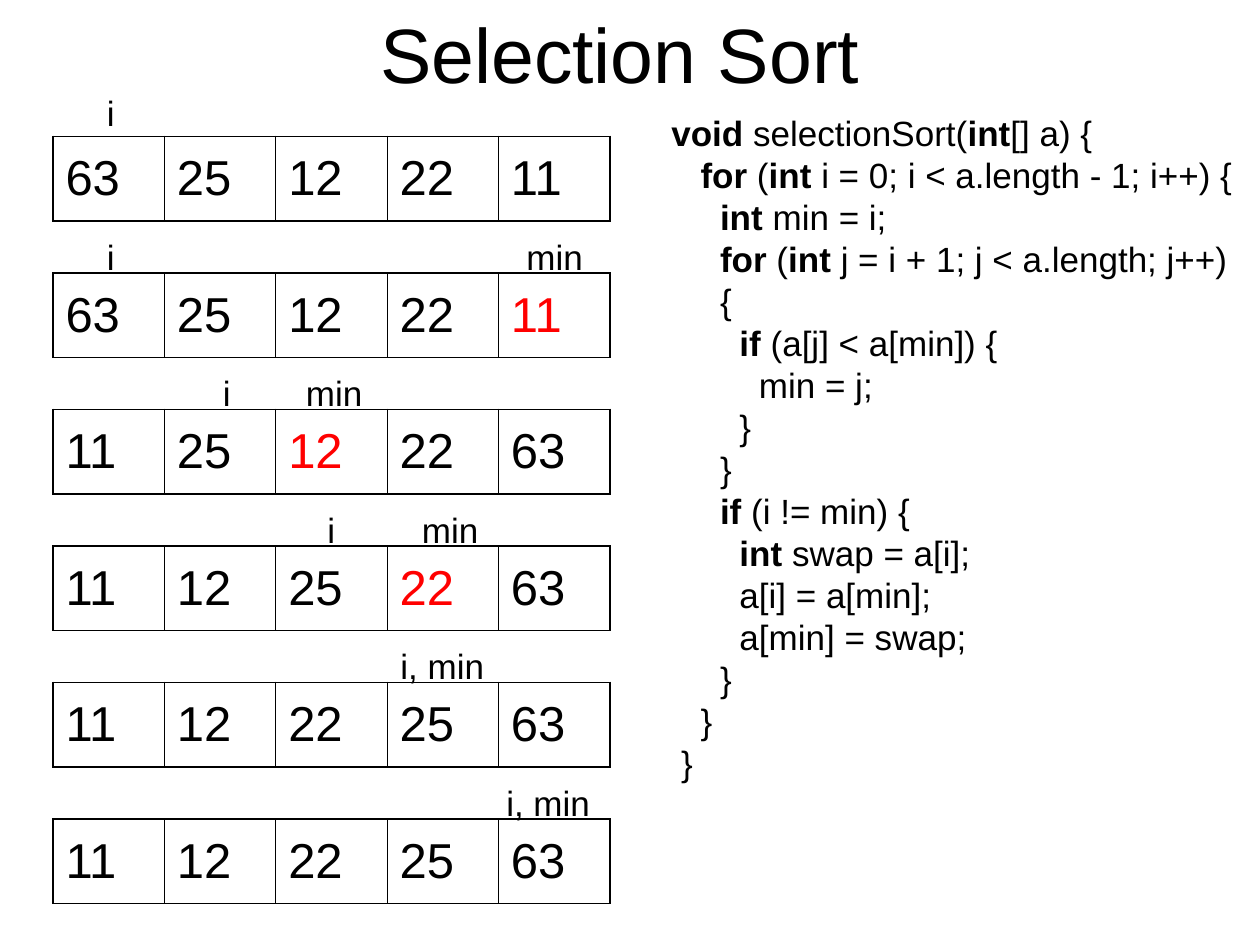
from lxml import etree
from pptx import Presentation
from pptx.dml.color import RGBColor
from pptx.enum import text as t
from pptx.oxml import ns
from pptx.util import Inches, Pt

BLACK = RGBColor(0, 0, 0)
RED = RGBColor(255, 0, 0)
FONT = "Arial"
LEFT, COL, ROW = 0.42, 0.884, 0.67
STEP = 13 / 12  # distance between the tops of two arrays
SPACE = 5.56  # width of one space at 20 pt
THIN, THICK = 0.45, 1.08

# values, index of the red value, labels as (text, left, width)
STEPS = [
    ((63, 25, 12, 22, 11), None, [("i", 0.75, 0.42)]),
    ((63, 25, 12, 22, 11), 4, [("i", 0.75, 0.42), ("min", 4.08, 0.92)]),
    ((11, 25, 12, 22, 63), 2, [("i", 1.67, 0.42), ("min", 2.33, 0.92)]),
    ((11, 12, 25, 22, 63), 3, [("i", 2.5, 0.42), ("min", 3.25, 0.92)]),
    ((11, 12, 22, 25, 63), None, [("i, min", 3.08, 1.33)]),
    ((11, 12, 22, 25, 63), None, [("i, min", 3.92, 1.33)]),
]

# indent in spaces, code with keywords between asterisks
CODE = [
    (0, "*void* selectionSort(*int*[] a) {"),
    (3, "*for* (*int* i = 0; i < a.length - 1; i++) {"),
    (5, "*int* min = i;"),
    (5, "*for* (*int* j = i + 1; j < a.length; j++) {"),
    (7, "*if* (a[j] < a[min]) {"),
    (9, "min = j;"),
    (7, "}"),
    (5, "}"),
    (5, "*if* (i != min) {"),
    (7, "*int* swap = a[i];"),
    (7, "a[i] = a[min];"),
    (7, "a[min] = swap;"),
    (5, "}"),
    (3, "}"),
    (1, "}"),
]


def write(para, words, size=20, color=BLACK, align=t.PP_ALIGN.LEFT, indent=0):
    """Fill a paragraph; parts between asterisks are bold."""
    para.alignment = align
    if indent:
        props = para._p.get_or_add_pPr()
        props.set("marL", str(Pt(indent * SPACE)))
        props.set("indent", "0")
    for n, part in enumerate(words.split("*")):
        if part:
            run = para.add_run()
            run.text = part
            font = run.font
            font.name, font.size, font.bold = FONT, Pt(size), n % 2 == 1
            font.color.rgb = color


def add_box(slide, left, top, width, height, wrap=True):
    box = slide.shapes.add_textbox(*map(Inches, (left, top, width, height)))
    frame = box.text_frame
    frame.word_wrap = wrap
    frame.auto_size = t.MSO_AUTO_SIZE.SHAPE_TO_FIT_TEXT
    return frame


def add_border(cell, side, width):
    line = etree.SubElement(cell._tc.get_or_add_tcPr(), ns.qn(f"a:ln{side}"),
                            w=str(Pt(width)))
    fill = etree.SubElement(line, ns.qn("a:solidFill"))
    etree.SubElement(fill, ns.qn("a:srgbClr"), val=str(BLACK))


def add_array(slide, top, values, hot):
    count = len(values)
    table = slide.shapes.add_table(1, count, Inches(LEFT), Inches(top),
                                   Inches(COL * count), Inches(ROW)).table
    table.first_row = table.horz_banding = False
    for n, value in enumerate(values):
        table.columns[n].width = Inches(COL)
        cell = table.cell(0, n)
        cell.vertical_anchor = t.MSO_ANCHOR.MIDDLE
        add_border(cell, "L", THICK if n == 0 else THIN)
        add_border(cell, "R", THICK if n == count - 1 else THIN)
        add_border(cell, "T", THICK)
        add_border(cell, "B", THICK)
        cell.fill.background()
        write(cell.text_frame.paragraphs[0], str(value), size=28,
              color=RED if n == hot else BLACK)


def add_title(slide, words):
    title = slide.shapes.title
    title.left, title.top = Inches(LEFT), Inches(0)
    title.width, title.height = Inches(9), Inches(0.83)
    frame = title.text_frame
    frame.vertical_anchor = t.MSO_ANCHOR.MIDDLE
    write(frame.paragraphs[0], words, size=44, align=t.PP_ALIGN.CENTER)


def add_code(slide):
    frame = add_box(slide, 5.23, 1, 4.78, 5.1, wrap=False)
    frame.vertical_anchor = t.MSO_ANCHOR.MIDDLE
    for n, (indent, line) in enumerate(CODE):
        para = frame.add_paragraph() if n else frame.paragraphs[0]
        write(para, line, indent=indent)


def main():
    deck = Presentation()
    deck.slide_width, deck.slide_height = Inches(10), Inches(7.5)
    slide = deck.slides.add_slide(deck.slide_layouts[5])
    add_title(slide, "Selection Sort")
    add_code(slide)
    for n, (values, hot, labels) in enumerate(STEPS):
        top = STEP * (n + 1)
        add_array(slide, top, values, hot)
        rise = 0.35 if n else 0.41
        for words, left, width in labels:
            frame = add_box(slide, left, top - rise, width, 0.44)
            write(frame.paragraphs[0], words)
    deck.save("out.pptx")


if __name__ == "__main__":
    main()
